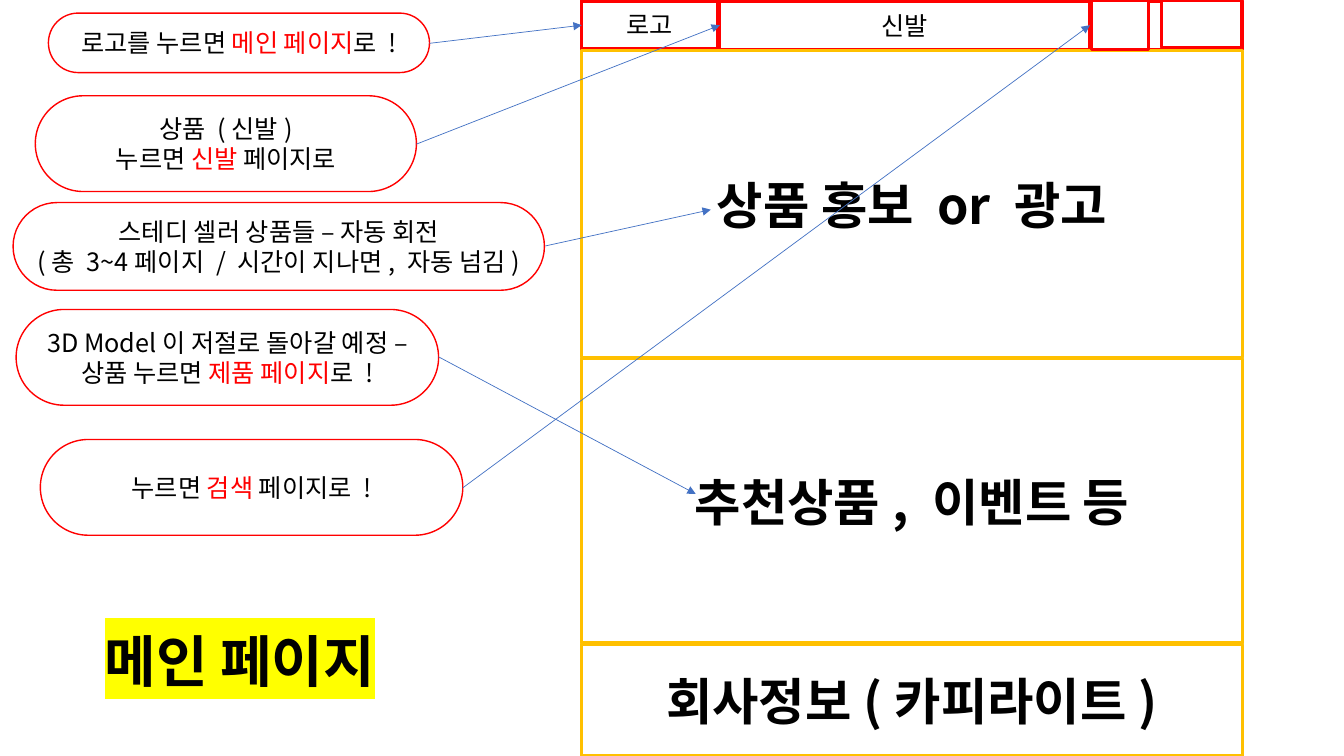
from lxml import etree
from pptx import Presentation
from pptx import util as u
from pptx.dml.color import RGBColor
from pptx.enum import shapes, text
from pptx.oxml import ns

WHITE = RGBColor(0xFF, 0xFF, 0xFF)
BLACK = RGBColor(0, 0, 0)
RED = RGBColor(0xFF, 0, 0)
GOLD = RGBColor(0xFF, 0xC0, 0)
BLUE = RGBColor(0x44, 0x72, 0xC4)
YELLOW = RGBColor(0xFF, 0xFF, 0)
KOREAN = "Noto Sans CJK KR"

LABEL = {"size": u.Pt(18), "name": KOREAN}
HEADING = {"size": u.Pt(36), "name": KOREAN, "bold": True}
TITLE = {"size": u.Pt(40), "name": "Lato", "bold": True}

PAGE_X, PAGE_W = 5.77, 6.55

CALLOUTS = [
    ((0.48, 0.13, 3.78, 0.59), ["로고를 누르면 *메인 페이지*로 !"]),
    ((0.13, 2.01, 5.27, 0.87), ["스테디 셀러 상품들 – 자동 회전",
                                "(총 3~4페이지 / 시간이 지나면, 자동 넘김)"]),
    ((0.35, 0.95, 3.78, 0.95), ["상품 (신발)", "누르면 *신발* 페이지로"]),
    ((0.16, 3.07, 4.19, 0.95),
     ["3D Model이 저절로 돌아갈 예정 – 상품 누르면 *제품 페이지*로 !"]),
    ((0.4, 4.36, 4.19, 0.95), ["누르면 *검색* 페이지로 !"]),
]
ARROWS = [
    ((4.13, 1.43), (7.14, 0.25)),
    ((4.26, 0.43), (5.77, 0.25)),
    ((5.41, 2.44), (7.05, 2.08)),
    ((4.35, 3.54), (6.9, 4.9)),
    ((4.59, 4.84), (10.81, 0.25)),
]


def inches(values):
    """Convert plain numbers to lengths."""
    return [u.Inches(v) for v in values]


def add_run(p, words, fmt, color=BLACK):
    """Append a formatted run and return it."""
    r = p.add_run()
    r.text = words
    r.font.color.rgb = color
    for key, value in fmt.items():
        setattr(r.font, key, value)
    ea = etree.SubElement(r.font._element, ns.qn("a:ea"))
    ea.set("typeface", KOREAN)
    return r


def add_solid(parent, tag, color):
    """Append a colour container to an XML element."""
    holder = etree.SubElement(parent, ns.qn(tag))
    etree.SubElement(holder, ns.qn("a:srgbClr")).set("val", str(color))
    return holder


def outline_run(r):
    """Give the run a thin black outline."""
    ln = etree.Element(ns.qn("a:ln"), w=str(u.Pt(0.75)))
    add_solid(ln, "a:solidFill", BLACK)
    r.font._element.insert(0, ln)


def add_box(parent, at, line, width=2.25, fill=WHITE,
            kind=shapes.MSO_SHAPE.RECTANGLE):
    """Add an outlined shape with centred text."""
    sp = parent.add_shape(kind, *inches(at))
    sp.shadow.inherit = False
    if fill is None:
        sp.fill.background()
    else:
        sp.fill.solid()
        sp.fill.fore_color.rgb = fill
    sp.line.color.rgb = line
    sp.line.width = u.Pt(width)
    tf = sp.text_frame
    tf.word_wrap = True
    tf.vertical_anchor = text.MSO_ANCHOR.MIDDLE
    tf.paragraphs[0].alignment = text.PP_ALIGN.CENTER
    return sp


def add_menu(parent, at, words, fill=WHITE):
    """Add a labelled menu cell."""
    sp = add_box(parent, at, RED, fill=fill)
    outline_run(add_run(sp.text_frame.paragraphs[0], words, LABEL))


def add_section(parent, top, height, runs):
    """Add a page section from (words, font name) runs."""
    sp = add_box(parent, (PAGE_X, top, PAGE_W, height), GOLD)
    for words, name in runs:
        add_run(sp.text_frame.paragraphs[0], words, {**HEADING, "name": name})


def add_callout(parent, at, lines):
    """Add a pill whose starred words are red."""
    sp = add_box(parent, at, RED, 1, None, shapes.MSO_SHAPE.ROUNDED_RECTANGLE)
    sp.adjustments[0] = 0.5
    tf = sp.text_frame
    for i, line in enumerate(lines):
        p = tf.add_paragraph() if i else tf.paragraphs[0]
        p.alignment = text.PP_ALIGN.CENTER
        for j, words in enumerate(line.split("*")):
            add_run(p, words, LABEL, RED if j % 2 else BLACK)


def add_arrow(parent, start, end):
    """Add a thin arrow between two points."""
    c = parent.add_connector(shapes.MSO_CONNECTOR.STRAIGHT,
                             *inches(start + end))
    c.line.color.rgb = BLUE
    c.line.width = u.Pt(0.5)
    etree.SubElement(c.line._get_or_add_ln(), ns.qn("a:tailEnd"), type="triangle")
    etree.SubElement(c._element.spPr, ns.qn("a:effectLst"))


def add_title(parent, at, words):
    """Add the highlighted page title."""
    tf = parent.add_textbox(*inches(at)).text_frame
    tf.word_wrap = True
    tf.auto_size = text.MSO_AUTO_SIZE.SHAPE_TO_FIT_TEXT
    r = add_run(tf.paragraphs[0], words, TITLE)
    rpr = r.font._element
    mark = add_solid(rpr, "a:highlight", YELLOW)
    rpr.find(ns.qn("a:solidFill")).addnext(mark)


def add_wireframe(parent):
    """Add the page frame, its menu and its sections."""
    add_box(parent, (PAGE_X, 0.02, PAGE_W, 7.48), BLACK, 1)
    add_box(parent, (PAGE_X, 0.01, PAGE_W, 0.48), RED)
    add_box(parent, (11.54, 0, 0.76, 0.48), GOLD)
    add_menu(parent, (PAGE_X, 0.01, 1.35, 0.47), "로고", None)
    add_menu(parent, (7.14, 0.01, 3.67, 0.48), "신발")
    add_section(parent, 0.5, 3.05, [("상품 홍보 or 광고", KOREAN)])
    add_section(parent, 3.56, 2.82,
                [("추천상품", "Arial"), (", 이벤트 등", KOREAN)])
    add_section(parent, 6.39, 1.11, [("회사정보(카피라이트)", KOREAN)])


def main():
    """Build the slide and save it."""
    prs = Presentation()
    prs.slide_width, prs.slide_height = inches((13.33, 7.5))
    s = prs.slides.add_slide(prs.slide_layouts[6])
    add_wireframe(s.shapes.add_group_shape().shapes)
    add_title(s.shapes, (0.94, 6.17, 3.63, 0.77), "메인 페이지")
    for at, lines in CALLOUTS:
        add_callout(s.shapes, at, lines)
    add_box(s.shapes, (11.52, 0, 0.79, 0.47), RED)
    for start, end in ARROWS:
        add_arrow(s.shapes, start, end)
    add_box(s.shapes, (10.83, 0, 0.56, 0.49), RED)
    prs.save("out.pptx")


if __name__ == "__main__":
    main()
